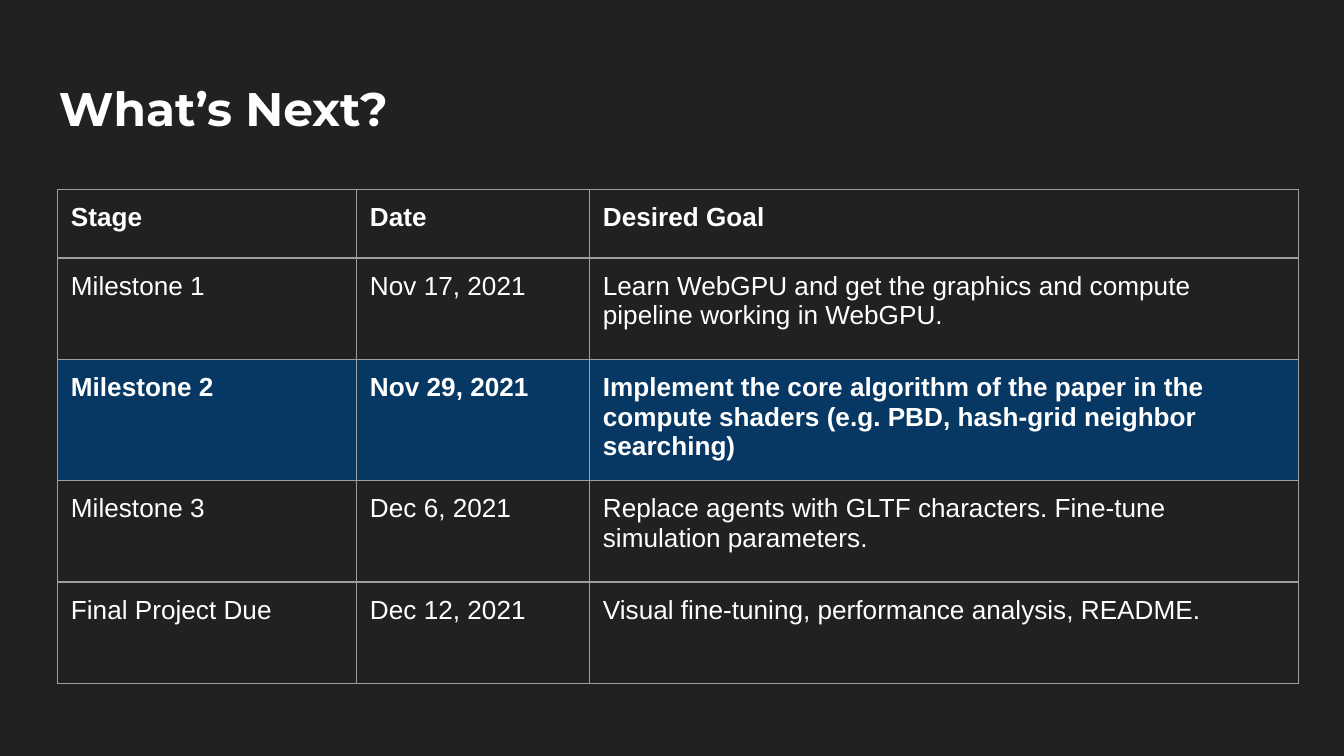
import pptx
import pptx.dml.color
import pptx.oxml
import pptx.oxml.ns
import pptx.util

Pt = pptx.util.Pt

BACKGROUND, TEXT, BORDER, HIGHLIGHT = "212121", "FFFFFF", "9E9E9E", "073763"
MARGINS = {f"margin_{side}": Pt(7.2) for side in ("left", "top", "right", "bottom")}


def rgb(color):
    return pptx.dml.color.RGBColor.from_string(color)


def write(frame, text, font_format):
    """Put one formatted run of white text in a text frame."""
    run = frame.paragraphs[0].add_run()
    run.text = text
    for name, value in font_format.items():
        setattr(run.font, name, value)
    run.font.color.rgb = rgb(TEXT)


deck = pptx.Presentation()
deck.slide_width, deck.slide_height = Pt(720), Pt(405)
slide = deck.slides.add_slide(deck.slide_layouts[6])
slide.background.fill.solid()
slide.background.fill.fore_color.rgb = rgb(BACKGROUND)

heading = slide.shapes.add_textbox(Pt(24.5), Pt(35.3), Pt(671), Pt(45.4)).text_frame
heading.word_wrap = True
for name, value in MARGINS.items():
    setattr(heading, name, value)
write(heading, "What’s Next?", {"name": "Montserrat", "size": Pt(25.2), "bold": True})

schedule = [
    ("Stage", "Date", "Desired Goal"),
    ("Milestone 1", "Nov 17, 2021",
     "Learn WebGPU and get the graphics and compute pipeline working in WebGPU."),
    ("Milestone 2", "Nov 29, 2021",
     "Implement the core algorithm of the paper in the compute shaders "
     "(e.g. PBD, hash-grid neighbor searching)"),
    ("Milestone 3", "Dec 6, 2021",
     "Replace agents with GLTF characters. Fine-tune simulation parameters."),
    ("Final Project Due", "Dec 12, 2021",
     "Visual fine-tuning, performance analysis, README."),
]
header_row, current_row = 0, 2
column_widths = [160.2, 124.8, 379.8]
row_heights = [36.6] + [54.4] * 4

timeline = slide.shapes.add_table(
    len(schedule), len(column_widths), Pt(30.8), Pt(101.6),
    Pt(sum(column_widths)), Pt(sum(row_heights))).table
timeline.first_row = timeline.horz_banding = False
for column, width in zip(timeline.columns, column_widths):
    column.width = Pt(width)

for row_index, (stage_texts, height) in enumerate(zip(schedule, row_heights)):
    timeline.rows[row_index].height = Pt(height)
    for column_index, text in enumerate(stage_texts):
        cell = timeline.cell(row_index, column_index)
        for name, value in MARGINS.items():
            setattr(cell, name, value)
        write(cell.text_frame, text, {
            "name": "Arial", "size": Pt(14),
            "bold": row_index in (header_row, current_row)})
        for edge in "LRTB":
            cell._tc.get_or_add_tcPr().append(pptx.oxml.parse_xml(
                f'<a:ln{edge} {pptx.oxml.ns.nsdecls("a")} w="{Pt(0.75)}"><a:solidFill>'
                f'<a:srgbClr val="{BORDER}"/></a:solidFill></a:ln{edge}>'))
        if row_index == current_row:
            cell.fill.solid()
            cell.fill.fore_color.rgb = rgb(HIGHLIGHT)
        else:
            cell.fill.background()

deck.save("out.pptx")
